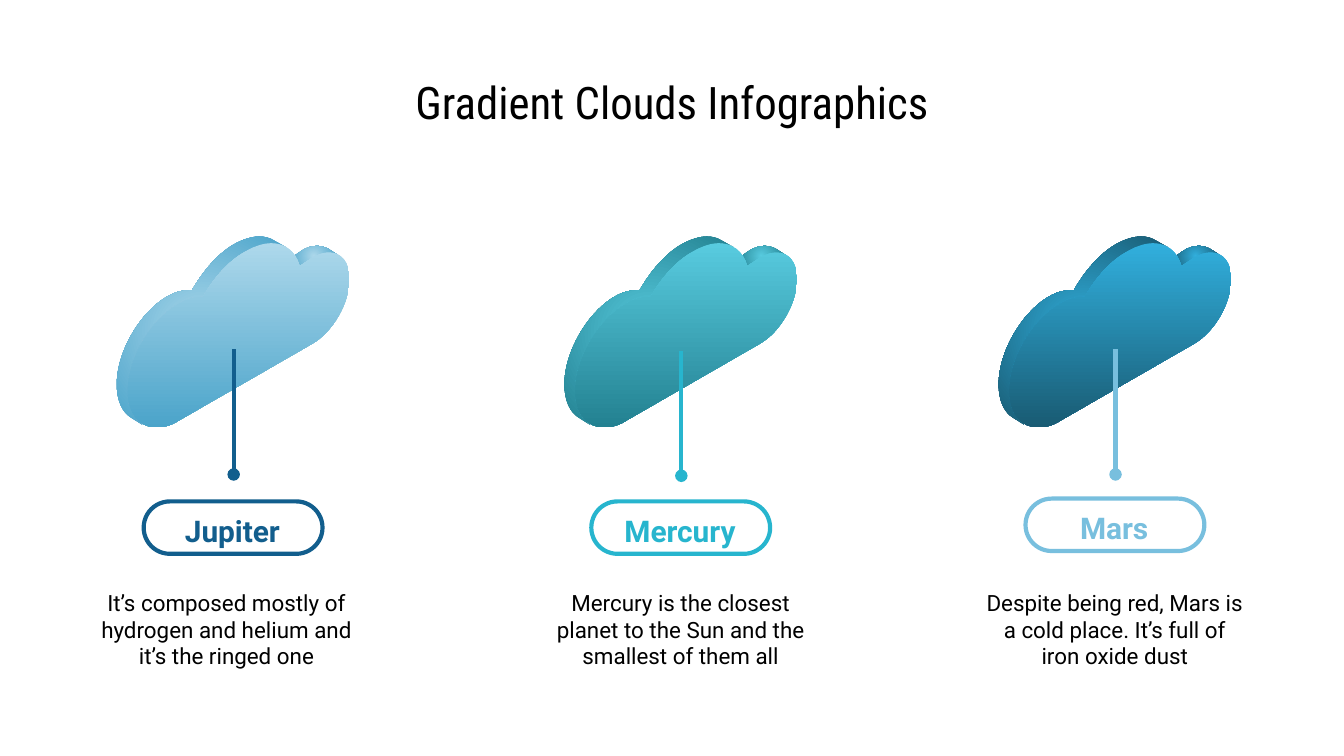
"""Build a slide of three gradient clouds, each with a planet label and a note."""
from lxml.etree import SubElement
from pptx import Presentation
from pptx.dml.color import RGBColor as RGB
from pptx.enum.shapes import MSO_CONNECTOR as LINK, MSO_SHAPE as SHAPE
from pptx.enum.text import MSO_ANCHOR as ANCHOR, PP_ALIGN as ALIGN
from pptx.oxml.ns import qn
from pptx.util import Pt

BLACK = RGB(0x00, 0x00, 0x00)
NAVY = RGB(0x12, 0x5E, 0x8D)
TEAL = RGB(0x27, 0xB5, 0xCE)
SKY = RGB(0x78, 0xBF, 0xDE)
PALE = RGB(0xAD, 0xD8, 0xEB), RGB(0x4B, 0xA4, 0xCA)
AQUA = RGB(0x58, 0xCB, 0xDF), RGB(0x23, 0x81, 0x91)
DEEP = RGB(0x31, 0xAF, 0xDD), RGB(0x19, 0x5B, 0x73)

UNIT, TOP = 0.72, 126.7
BUMP = [
    (149, 7), (146, 7, 141, 8, 137, 11), (134, 13, 131, 15, 128, 18),
    (137, 22), (139, 20, 142, 18, 145, 16), (150, 13, 154, 12, 158, 12),
    (160, 12, 163, 13, 165, 14), (157, 9), (155, 8, 152, 7, 149, 7),
]
RIM = [
    (106, 0), (101, 0, 94, 2, 87, 6), (75, 13, 64, 26, 56, 40),
    (56, 40, 55, 40, 54, 40), (49, 40, 44, 41, 37, 45),
    (17, 57, 0, 86, 0, 110), (0, 122, 4, 131, 11, 135), (19, 140),
    (12, 136, 8, 127, 8, 115), (8, 91, 25, 62, 46, 50),
    (52, 46, 58, 45, 63, 45), (63, 45, 64, 45, 64, 45),
    (72, 31, 83, 18, 96, 11), (103, 7, 109, 5, 115, 5),
    (119, 5, 123, 6, 126, 8), (117, 3), (114, 1, 110, 0, 106, 0),
]
FACE = [
    (115, 5), (109, 5, 103, 7, 96, 11), (83, 18, 72, 31, 64, 45),
    (64, 45, 63, 45, 63, 45), (58, 45, 52, 46, 46, 50),
    (25, 62, 8, 91, 8, 115), (8, 132, 17, 142, 29, 142),
    (34, 142, 40, 141, 46, 137), (145, 80), (161, 71, 173, 49, 173, 32),
    (173, 19, 167, 12, 158, 12), (154, 12, 150, 13, 145, 16),
    (142, 18, 139, 20, 136, 22), (133, 11, 125, 5, 115, 5),
]
CLOUDS = [
    ("Jupiter", "It’s composed mostly of hydrogen and helium and it’s the ringed one",
     NAVY, PALE, 62.6, 49, 187.2, 268.6),
    ("Mercury", "Mercury is the closest planet to the Sun and the smallest of them all",
     TEAL, AQUA, 302.4, 292.3, 187.9, 268.6),
    ("Mars", "Despite being red, Mars is a cold place. It’s full of iron oxide dust",
     SKY, DEEP, 535, 524.9, 187.2, 267.1),
]


def draw(group, left, path):
    """Add an outline of lines and cubic curves to a group."""
    dots = [(Pt(left + UNIT * seg[-2]), Pt(TOP + UNIT * seg[-1])) for seg in path]
    pen = group.shapes.build_freeform(*dots[0])
    pen.add_line_segments(dots[1:], close=True)
    part = pen.convert_to_shape()
    lines = list(part._element.iter(qn("a:lnTo")))
    for line, seg in zip(lines, path[1:]):
        if len(seg) == 6:
            line.tag = qn("a:cubicBezTo")
            for i in (0, 2):
                x = Pt(left + UNIT * seg[i]) - part.left
                y = Pt(TOP + UNIT * seg[i + 1]) - part.top
                dot = SubElement(line, qn("a:pt"), x=str(x), y=str(y))
                line.insert(i // 2, dot)
    return part


def write(left, top, width, height, text, size, color):
    """Add a centred text box and return its paragraph."""
    frame = shapes.add_textbox(Pt(left), Pt(top), Pt(width), Pt(height)).text_frame
    frame.word_wrap = True
    frame.vertical_anchor = ANCHOR.MIDDLE
    frame.margin_left = frame.margin_right = Pt(3.6)
    frame.margin_top = frame.margin_bottom = Pt(3.6)
    para = frame.paragraphs[0]
    para.text = text
    para.alignment = ALIGN.CENTER
    para.font.name = "Roboto"
    para.font.size = Pt(size)
    para.font.color.rgb = color
    return para


deck = Presentation()
deck.slide_width, deck.slide_height = Pt(720), Pt(405)
slide = deck.slides.add_slide(deck.slide_layouts[5])
shapes = slide.shapes

title = shapes.title
title.left, title.top, title.width, title.height = Pt(36), Pt(31.7), Pt(648), Pt(45.4)
title.text_frame.vertical_anchor = ANCHOR.MIDDLE
head = title.text_frame.paragraphs[0]
head.text = "Gradient Clouds Infographics"
head.alignment = ALIGN.CENTER
head.font.name = "Roboto Condensed"
head.font.size = Pt(24)
head.font.color.rgb = BLACK

for name, note, color, shades, left, edge, start, top in CLOUDS:
    cloud = shapes.add_group_shape()
    for path in (BUMP, RIM, FACE):
        part = draw(cloud, left, path)
        part.shadow.inherit = False
        part.line.fill.background()
        part.fill.gradient()
        part.fill.gradient_angle = 270
        for stop, shade in zip(part.fill.gradient_stops, shades):
            stop.color.rgb = shade
        if path is not FACE:
            grad = part._element.spPr.find(qn("a:gradFill"))
            grad.remove(grad.find(qn("a:lin")))
            ring = SubElement(grad, qn("a:path"), path="circle")
            SubElement(ring, qn("a:fillToRect"), l="50000", t="50000", r="50000", b="50000")

    pill = shapes.add_shape(SHAPE.ROUNDED_RECTANGLE, Pt(left + 14.4), Pt(top), Pt(95.8), Pt(28.1))
    pill.adjustments[0] = 0.5
    pill.shadow.inherit = False
    pill.fill.background()
    pill.line.color.rgb = color
    pill.line.width = Pt(2.25)

    label = write(left + 20.9, top, 82.1, 28.1, name, 16, color)
    label.font.bold = True
    label.line_spacing = 1.15
    write(edge, 308.9, 144.7, 56.2, note, 12, BLACK)

    mid = Pt(left + 62.6)
    stem = shapes.add_connector(LINK.STRAIGHT, mid, Pt(start), mid, Pt(start + 67))
    stem.line.color.rgb = color
    stem.line.width = Pt(2.25)
    SubElement(stem._element.spPr.find(qn("a:ln")), qn("a:tailEnd"), type="oval")
    SubElement(stem._element.spPr, qn("a:effectLst"))

deck.save("out.pptx")
